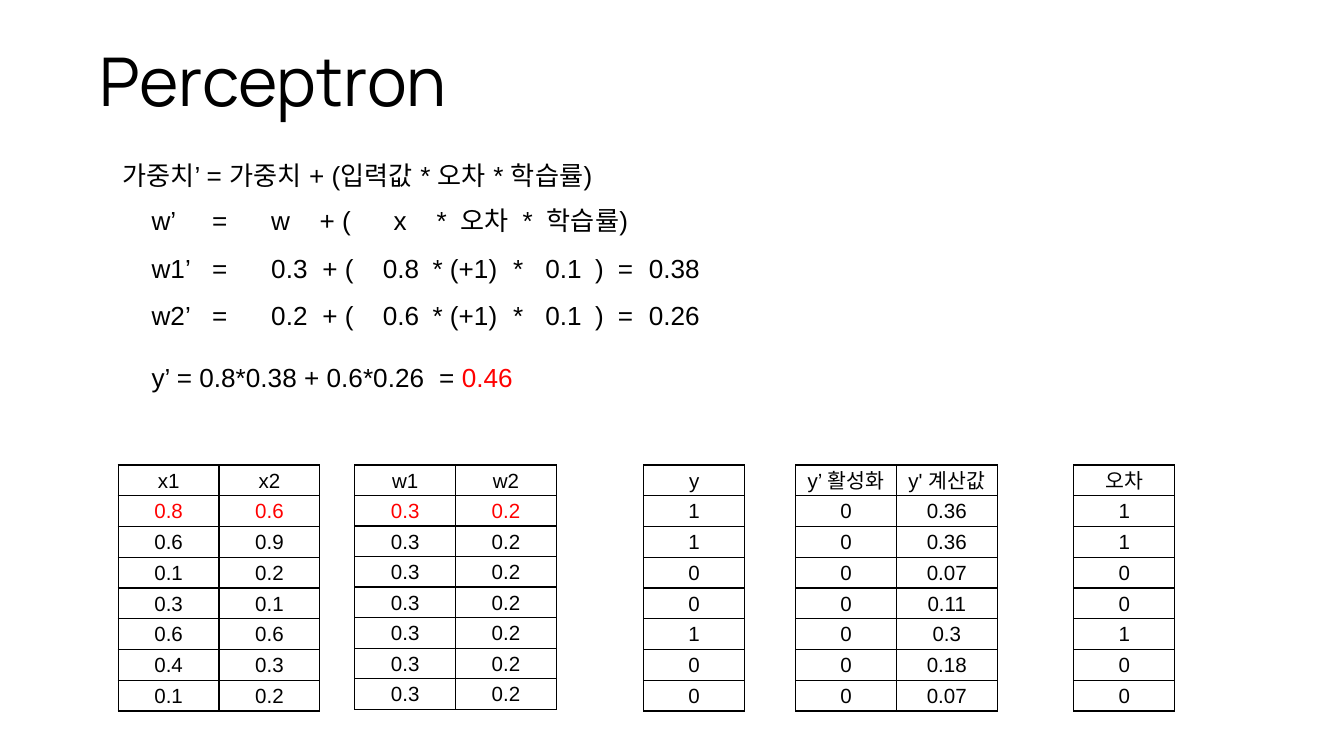
import pptx
import pptx.dml.color
import pptx.enum.text
import pptx.oxml
import pptx.oxml.ns
import pptx.util

PX = 9144  # EMU per px, 100 px to the inch
COLORS = {"black": "000000", "red": "FF0000"}


def add_run(p, text, size, color="black", font="Arial"):
    """Add a run that uses one font for both Latin and Korean text."""
    r = p.add_run()
    r.text = text
    r.font.size = pptx.util.Pt(size)
    r.font.color.rgb = pptx.dml.color.RGBColor.from_string(COLORS[color])
    r.font.name = font
    r._r.get_or_add_rPr().append(pptx.oxml.parse_xml(
        f'<a:ea {pptx.oxml.ns.nsdecls("a")} typeface="{font}"/>'))


def add_text(left, top, width, height, runs, size=14, font="Arial", tabs=()):
    """Add a one-line box; runs are (text, colour) pairs, tabs are px from the text edge."""
    sp = slide.shapes.add_textbox(left * PX, top * PX, width * PX, height * PX)
    tf = sp.text_frame
    tf.word_wrap = True
    tf.auto_size = pptx.enum.text.MSO_AUTO_SIZE.SHAPE_TO_FIT_TEXT
    p = tf.paragraphs[0]
    if tabs:
        stops = "".join(f'<a:tab pos="{tab * PX}" algn="l"/>' for tab in tabs)
        p._p.get_or_add_pPr().append(pptx.oxml.parse_xml(
            f'<a:tabLst {pptx.oxml.ns.nsdecls("a")}>{stops}</a:tabLst>'))
    for text, color in runs:
        add_run(p, text, size, color, font)


prs = pptx.Presentation()
prs.slide_width = 1000 * PX
prs.slide_height = prs.slide_width * 9 // 16
slide = prs.slides.add_slide(prs.slide_layouts[6])

add_text(64, 24, 882, 71, [("Perceptron", "black")], size=36, font="Manrope")

# Weight update rule, then its worked values in tabbed columns
add_text(81, 114, 527, 34, [("가중치’ = 가중치 + (입력값 * 오차 * 학습률)", "black")])
symbol_tabs = [45, 89, 125, 180, 212, 230, 276, 294]
value_tabs = [45, 89, 127, 172, 209, 269, 293, 330, 347, 370]
formulas = [
    (147, symbol_tabs, [("w’\t=\tw\t+ (\tx\t*\t오차\t*\t학습률)", "black")]),
    (183, value_tabs, [("w1’\t=\t0.3\t+ (\t0.8\t* (+1)\t*\t0.1\t)\t=\t0.38", "black")]),
    (218, value_tabs, [("w2’\t=\t0.2\t+ (\t0.6\t* (+1)\t*\t0.1\t)\t=\t0.26", "black")]),
    (264, [214], [("y’ = 0.8*0.38 + 0.6*0.26\t= ", "black"), ("0.46", "red")]),
]
for top, tabs, runs in formulas:
    add_text(103, top, 527, 34, runs, tabs=tabs)

# Tables: left, height, whether the first data row is red, columns
TABLE_TOP, COL_W = 346, 75
tables = [
    (88, 183, True, [["x1", "0.8", "0.6", "0.1", "0.3", "0.6", "0.4", "0.1"],
                     ["x2", "0.6", "0.9", "0.2", "0.1", "0.6", "0.3", "0.2"]]),
    (479, 183, False, [["y", "1", "1", "0", "0", "1", "0", "0"]]),
    (264, 182, True, [["w1"] + ["0.3"] * 7, ["w2"] + ["0.2"] * 7]),
    (592, 183, False, [["y’ 활성화"] + ["0"] * 7]),
    (667, 183, False, [["y' 계산값", "0.36", "0.36", "0.07", "0.11", "0.3", "0.18", "0.07"]]),
    (799, 183, False, [["오차", "1", "1", "0", "0", "1", "0", "0"]]),
]
for left, height, red_row, columns in tables:
    row_count = len(columns[0])
    table = slide.shapes.add_table(
        row_count, len(columns), left * PX, TABLE_TOP * PX,
        COL_W * len(columns) * PX, height * PX).table
    table.first_row = False
    table.horz_banding = False
    for row in table.rows:
        row.height = height * PX // row_count
    for c, values in enumerate(columns):
        table.columns[c].width = COL_W * PX
        for r, value in enumerate(values):
            cell = table.cell(r, c)
            cell.margin_left = cell.margin_right = cell.margin_top = PX
            cell.margin_bottom = 0
            cell.vertical_anchor = pptx.enum.text.MSO_ANCHOR.MIDDLE
            tcPr = cell._tc.get_or_add_tcPr()
            for side in ("lnL", "lnR", "lnT", "lnB"):
                tcPr.append(pptx.oxml.parse_xml(
                    f'<a:{side} {pptx.oxml.ns.nsdecls("a")} w="{pptx.util.Pt(0.75)}">'
                    f'<a:solidFill><a:srgbClr val="{COLORS["black"]}"/></a:solidFill></a:{side}>'))
            cell.fill.background()
            p = cell.text_frame.paragraphs[0]
            p.alignment = pptx.enum.text.PP_ALIGN.CENTER
            add_run(p, value, 11, "red" if red_row and r == 1 else "black")

prs.save("out.pptx")
